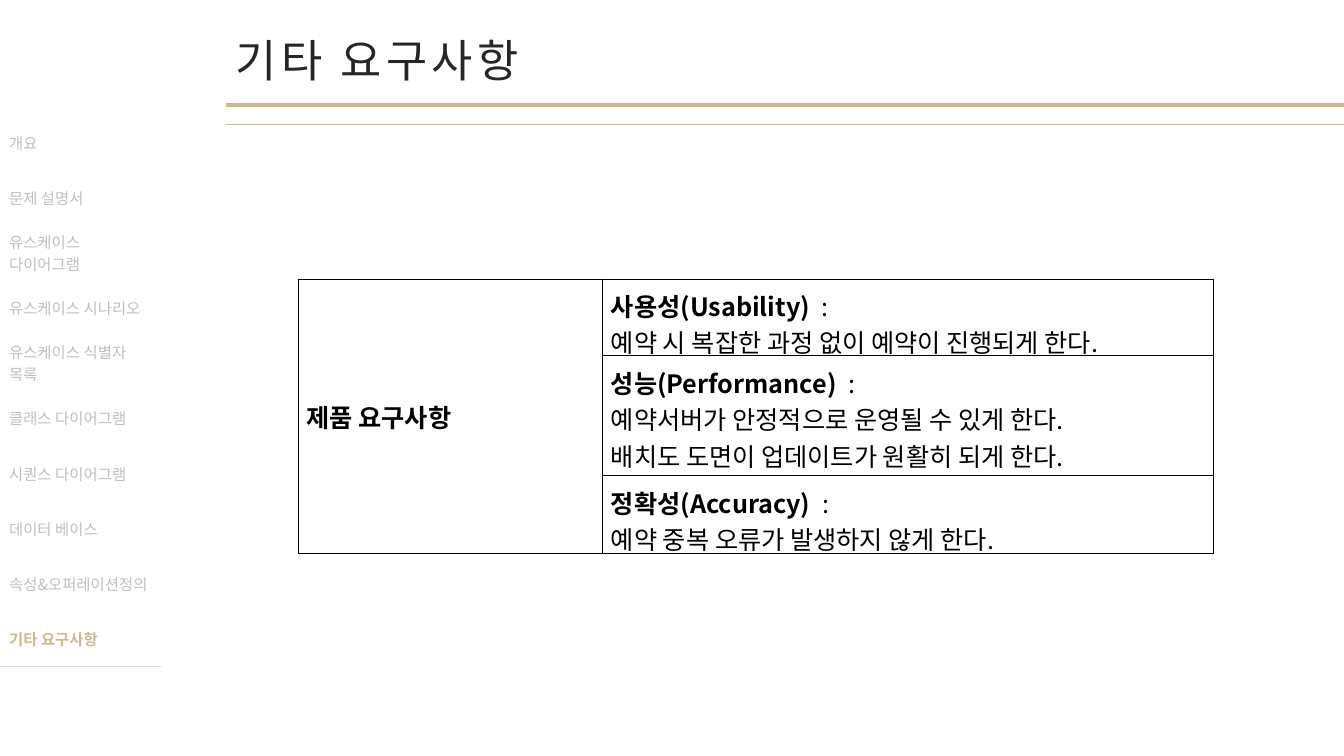
from dataclasses import dataclass

from lxml import etree
from pptx import Presentation
from pptx.dml.color import RGBColor
from pptx.enum.dml import MSO_THEME_COLOR
from pptx.enum.shapes import MSO_CONNECTOR
from pptx.enum.text import MSO_ANCHOR, MSO_AUTO_SIZE, PP_ALIGN
from pptx.oxml.ns import qn
from pptx.util import Inches, Pt

STRAIGHT = MSO_CONNECTOR.STRAIGHT
MIDDLE = MSO_ANCHOR.MIDDLE
LEFT = PP_ALIGN.LEFT
GROW_SHAPE = MSO_AUTO_SIZE.SHAPE_TO_FIT_TEXT
BACKGROUND = MSO_THEME_COLOR.BACKGROUND_1


@dataclass(frozen=True)
class Theme:
    font: str = "Noto Sans CJK KR"
    gold: str = "D1B790"
    title: str = "262626"
    ink: str = "000000"
    muted: str = "BFBFBF"
    divider: str = "D9D9D9"
    title_size: int = 32
    body_size: int = 18
    menu_size: int = 11


@dataclass(frozen=True)
class Rule:
    top: float
    weight: float


@dataclass(frozen=True)
class Requirement:
    heading: str
    details: tuple[str, ...]
    height: float


THEME = Theme()
SLIDE_WIDTH, SLIDE_HEIGHT = 13.33, 7.5
CONTENT_LEFT = 2.24
RULES = (Rule(1.04, 3), Rule(1.23, 0.25))
CATEGORY = "제품 요구사항"
REQUIREMENTS = (
    Requirement("사용성(Usability)", ("예약 시 복잡한 과정 없이 예약이 진행되게 한다.",), 0.76),
    Requirement(
        "성능(Performance)",
        ("예약서버가 안정적으로 운영될 수 있게 한다.", "배치도 도면이 업데이트가 원활히 되게 한다."),
        1.19,
    ),
    Requirement("정확성(Accuracy)", ("예약 중복 오류가 발생하지 않게 한다.",), 0.77),
)
MENU = (
    "개요", "문제 설명서", "유스케이스 다이어그램", "유스케이스 시나리오", "유스케이스 식별자 목록",
    "클래스 다이어그램", "시퀀스 다이어그램", "데이터 베이스", "속성&오퍼레이션정의", "기타 요구사항",
)
CURRENT_PAGE = MENU[-1]
MENU_ROW_HEIGHT = 0.547
CELL_INSET = Inches(0.08)
BORDER_TAGS = ("a:lnL", "a:lnR", "a:lnT", "a:lnB")


def add_run(paragraph, text: str, size: int, color: str, bold: bool = False):
    """Add a run with the theme font for Latin and Korean text."""
    run = paragraph.add_run()
    run.text = text
    formats = {"name": THEME.font, "size": Pt(size), "bold": bold}
    for name, value in formats.items():
        setattr(run.font, name, value)
    run.font.color.rgb = RGBColor.from_string(color)
    properties = run._r.get_or_add_rPr()
    etree.SubElement(properties, qn("a:ea"), typeface=THEME.font)
    return run


def set_borders(cell, color: str, sides: tuple[str, ...]) -> None:
    """Draw the named sides and clear the others."""
    properties = cell._tc.get_or_add_tcPr()
    for position, tag in enumerate(BORDER_TAGS):
        line = etree.Element(qn(tag), w=str(Pt(1)))
        if tag in sides:
            fill = etree.SubElement(line, qn("a:solidFill"))
            etree.SubElement(fill, qn("a:srgbClr"), val=color)
        else:
            etree.SubElement(line, qn("a:noFill"))
        properties.insert(position, line)


def add_plain_table(slide, left: float, top: float, columns: list[float], rows: list[float]):
    """Add a table without banding, with the given column and row sizes."""
    frame = slide.shapes.add_table(
        len(rows), len(columns), Inches(left), Inches(top), Inches(sum(columns)), Inches(sum(rows))
    )
    table = frame.table
    table.first_row = False
    table.horz_banding = False
    for column, width in zip(table.columns, columns):
        column.width = Inches(width)
    for row, height in zip(table.rows, rows):
        row.height = Inches(height)
    for cell in table.iter_cells():
        cell.fill.background()
        cell.vertical_anchor = MIDDLE
    return table


def add_title(slide, text: str) -> None:
    title = slide.shapes.title
    bounds = {"left": CONTENT_LEFT, "top": 0.27, "width": 4.19, "height": 0.64}
    for name, value in bounds.items():
        setattr(title, name, Inches(value))
    frame = title.text_frame
    frame.vertical_anchor = MIDDLE
    frame.word_wrap = True
    frame.auto_size = GROW_SHAPE
    paragraph = frame.paragraphs[0]
    paragraph.alignment = LEFT
    run = add_run(paragraph, text, THEME.title_size, THEME.title)
    run._r.get_or_add_rPr().set("spc", "300")


def add_rule(slide, rule: Rule) -> None:
    connector = slide.shapes.add_connector(
        STRAIGHT, Inches(CONTENT_LEFT), Inches(rule.top), Inches(SLIDE_WIDTH), Inches(rule.top)
    )
    connector.line.color.rgb = RGBColor.from_string(THEME.gold)
    connector.line.width = Pt(rule.weight)
    etree.SubElement(connector._element.spPr, qn("a:effectLst"))


def add_requirements(slide) -> None:
    heights = [requirement.height for requirement in REQUIREMENTS]
    table = add_plain_table(slide, 2.96, 2.77, [3.02, 6.06], heights)
    for cell in table.iter_cells():
        for side in ("left", "right", "top", "bottom"):
            setattr(cell, f"margin_{side}", CELL_INSET)
        set_borders(cell, THEME.ink, BORDER_TAGS)
    category = table.cell(0, 0)
    category.merge(table.cell(len(REQUIREMENTS) - 1, 0))
    add_run(category.text_frame.paragraphs[0], CATEGORY, THEME.body_size, THEME.ink, True)
    for row, requirement in enumerate(REQUIREMENTS):
        frame = table.cell(row, 1).text_frame
        heading = frame.paragraphs[0]
        add_run(heading, f"{requirement.heading}  ", THEME.body_size, THEME.ink, True)
        add_run(heading, ":", THEME.body_size, THEME.ink)
        for detail in requirement.details:
            add_run(frame.add_paragraph(), detail, THEME.body_size, THEME.ink)


def add_menu(slide) -> None:
    table = add_plain_table(slide, -0.01, 1.14, [1.61], [MENU_ROW_HEIGHT] * len(MENU))
    for cell, label in zip(table.iter_cells(), MENU):
        current = label == CURRENT_PAGE
        color = THEME.gold if current else THEME.muted
        set_borders(cell, THEME.divider, ("a:lnB",))
        add_run(cell.text_frame.paragraphs[0], label, THEME.menu_size, color, current)


def main() -> None:
    presentation = Presentation()
    presentation.slide_width = Inches(SLIDE_WIDTH)
    presentation.slide_height = Inches(SLIDE_HEIGHT)
    slide = presentation.slides.add_slide(presentation.slide_layouts[5])
    slide.background.fill.solid()
    slide.background.fill.fore_color.theme_color = BACKGROUND

    # Heading and its rules
    add_title(slide, CURRENT_PAGE)
    for rule in RULES:
        add_rule(slide, rule)

    # Requirements and side menu
    add_requirements(slide)
    add_menu(slide)
    presentation.save("out.pptx")


if __name__ == "__main__":
    main()
